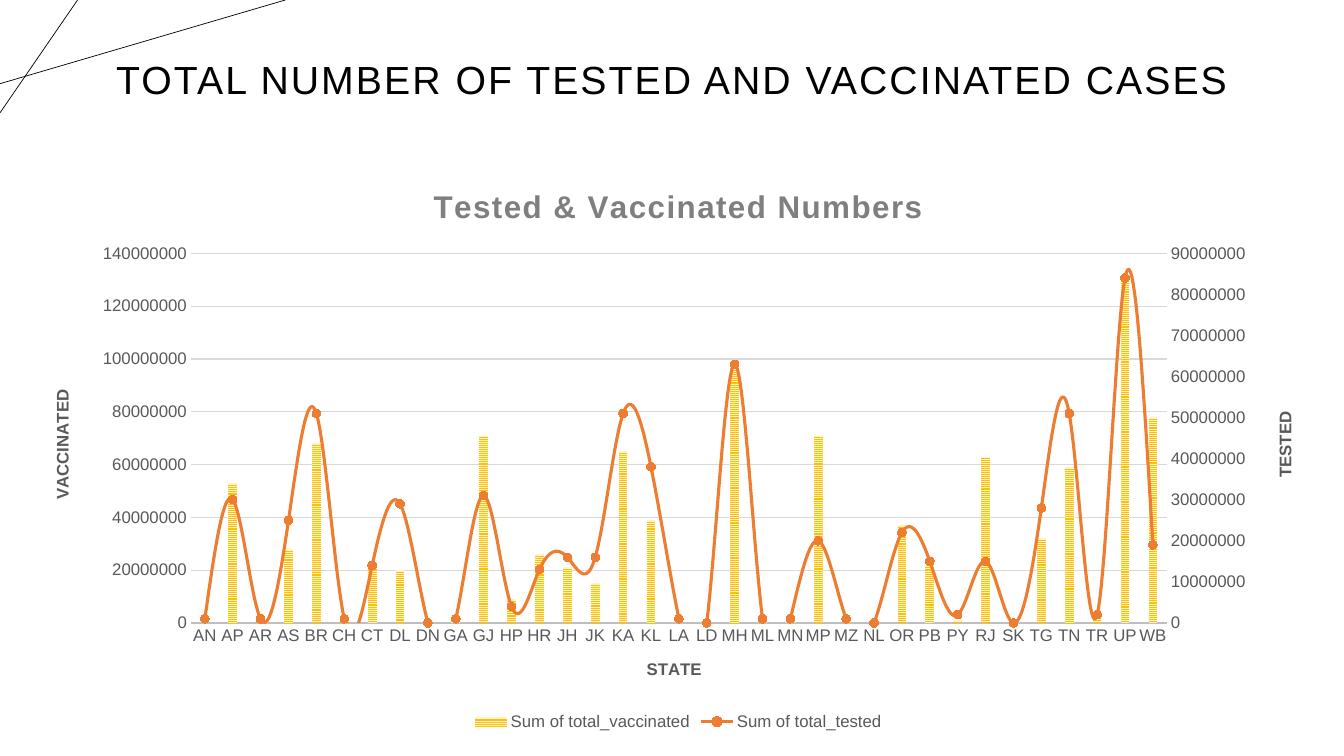
from copy import deepcopy

from pptx import Presentation
from pptx.chart.data import CategoryChartData
from pptx.dml.color import RGBColor
from pptx.enum.chart import XL_CHART_TYPE, XL_LEGEND_POSITION, XL_MARKER_STYLE, XL_TICK_MARK
from pptx.enum.dml import MSO_PATTERN
from pptx.enum.shapes import MSO_CONNECTOR
from pptx.enum.text import MSO_ANCHOR, PP_ALIGN
from pptx.oxml import parse_xml
from pptx.oxml.ns import nsdecls, qn
from pptx.util import Pt

COLUMNS = XL_CHART_TYPE.COLUMN_CLUSTERED
BOTTOM = XL_LEGEND_POSITION.BOTTOM
CIRCLE = XL_MARKER_STYLE.CIRCLE
NO_TICK = XL_TICK_MARK.NONE
STRIPES = MSO_PATTERN.NARROW_HORIZONTAL
STRAIGHT = MSO_CONNECTOR.STRAIGHT

HEADING = "TOTAL NUMBER OF TESTED AND VACCINATED CASES"
CHART_TITLE = "Tested & Vaccinated Numbers"
STATE_TITLE, VACCINATED_TITLE, TESTED_TITLE = "STATE", "VACCINATED", "TESTED"
SERIES_NAMES = ("Sum of total_vaccinated", "Sum of total_tested")
MILLION = 1_000_000
STATES = [
    ("AN", 0, 1), ("AP", 53, 30), ("AR", 1, 1), ("AS", 28, 25), ("BR", 68, 51),
    ("CH", 1, 1), ("CT", 22, 14), ("DL", 20, 29), ("DN", 1, 0), ("GA", 2, 1),
    ("GJ", 71, 31), ("HP", 9, 4), ("HR", 26, 13), ("JH", 21, 16), ("JK", 15, 16),
    ("KA", 65, 51), ("KL", 39, 38), ("LA", 0, 1), ("LD", 0, 0), ("MH", 98, 63),
    ("ML", 2, 1), ("MN", 2, 1), ("MP", 71, 20), ("MZ", 1, 1), ("NL", 1, 0),
    ("OR", 37, 22), ("PB", 22, 15), ("PY", 1, 2), ("RJ", 63, 15), ("SK", 1, 0),
    ("TG", 32, 28), ("TN", 59, 51), ("TR", 4, 2), ("UP", 131, 84), ("WB", 78, 19),
]
CORNER_LINES = [((0, 59.8), (203.8, 0)), ((55.4, 0), (0, 80.6))]
HEADING_FRAME = (66.2, 6.5, 828, 104.4)
CHART_FRAME = (22.3, 117.4, 924.5, 407.5)
PLOT_FRAME = (136.4, 181, 697.2, 264)
VACCINATED_SCALE = (140, 20)
TESTED_SCALE = (90, 10)

THEME = {
    "font": "Arial",
    "ink": RGBColor.from_string("000000"),
    "text": RGBColor.from_string("595959"),
    "title": RGBColor.from_string("7F7F7F"),
    "axis": RGBColor.from_string("BFBFBF"),
    "grid": RGBColor.from_string("D9D9D9"),
    "stripe": RGBColor.from_string("FFC000"),
    "stripe_back": RGBColor.from_string("FFF2CC"),
    "tested": RGBColor.from_string("ED7D31"),
    "heading_size": 28,
    "title_size": 22.4,
    "label_size": 12,
}


def style_font(font, size, color, bold=False):
    font.name = THEME["font"]
    font.size = Pt(size)
    font.bold = bold
    font.color.rgb = color


def style_line(line, color, width):
    line.color.rgb = color
    line.width = Pt(width)


def set_spacing(span, hundredths):
    span._r.get_or_add_rPr().set("spc", str(hundredths))


def add_corner_line(page, start, end):
    line = page.shapes.add_connector(STRAIGHT, *map(Pt, start + end))
    style_line(line.line, THEME["ink"], 0.5)
    line._element.spPr.append(parse_xml(f'<a:effectLst {nsdecls("a")}/>'))


def add_heading(page):
    box = page.shapes.add_textbox(*map(Pt, HEADING_FRAME))
    frame = box.text_frame
    frame.word_wrap = True
    frame.vertical_anchor = MSO_ANCHOR.MIDDLE
    frame.text = HEADING
    para = frame.paragraphs[0]
    para.alignment = PP_ALIGN.CENTER
    para.line_spacing = 0.9
    span = para.runs[0]
    style_font(span.font, THEME["heading_size"], THEME["ink"])
    set_spacing(span, 150)


def set_title(owner, text, size, color):
    owner.has_title = True
    frame = (owner.chart_title if hasattr(owner, "chart_title") else owner.axis_title).text_frame
    frame.text = text
    span = frame.paragraphs[0].runs[0]
    style_font(span.font, size, color, True)
    return frame, span


def style_axis(axis, title):
    axis.major_tick_mark = axis.minor_tick_mark = NO_TICK
    style_font(axis.tick_labels.font, THEME["label_size"], THEME["text"])
    return set_title(axis, title, THEME["label_size"], THEME["text"])[0]


def style_axes(chart):
    state_axis, value_axis = chart.category_axis, chart.value_axis
    style_axis(state_axis, STATE_TITLE)
    style_line(state_axis.format.line, THEME["axis"], 1.5)
    body = style_axis(value_axis, VACCINATED_TITLE)._txBody.bodyPr
    body.set("rot", "-5400000")
    body.set("vert", "horz")
    value_axis.format.line.fill.background()
    style_line(value_axis.major_gridlines.format.line, THEME["grid"], 0.75)
    value_axis.minimum_scale = 0
    value_axis.maximum_scale, value_axis.major_unit = (n * MILLION for n in VACCINATED_SCALE)


def set_value(parent, tag, value):
    parent.find(".//" + qn(tag)).set("val", str(value))


def drop(parent, tag):
    for child in parent.findall(qn(tag)):
        parent.remove(child)


def move_tested_to_right_axis(chart):
    plot_area = chart._chartSpace.chart.plotArea
    bars = plot_area.find(qn("c:barChart"))
    tested = bars.findall(qn("c:ser"))[1]
    drop(tested, "c:invertIfNegative")
    lines = parse_xml(
        f'<c:lineChart {nsdecls("c")}><c:grouping val="standard"/><c:varyColors val="0"/>'
        '<c:marker val="1"/><c:axId val="501"/><c:axId val="502"/></c:lineChart>'
    )
    lines.insert(2, tested)
    bars.addnext(lines)

    value_axis = plot_area.find(qn("c:valAx"))
    if value_axis.find(qn("c:crossBetween")) is None:
        value_axis.find(qn("c:crosses")).addnext(
            parse_xml(f'<c:crossBetween {nsdecls("c")} val="between"/>'))
    right_axis = deepcopy(value_axis)
    hidden_axis = deepcopy(plot_area.find(qn("c:catAx")))
    for axis, own, other in ((right_axis, 502, 501), (hidden_axis, 501, 502)):
        set_value(axis, "c:axId", own)
        set_value(axis, "c:crossAx", other)
    drop(right_axis, "c:majorGridlines")
    drop(hidden_axis, "c:title")
    set_value(hidden_axis, "c:delete", 1)
    set_value(right_axis, "c:axPos", "r")
    set_value(right_axis, "c:crosses", "max")
    for tag, number in zip(("c:max", "c:majorUnit"), TESTED_SCALE):
        set_value(right_axis, tag, number * MILLION)
    right_axis.find(".//" + qn("a:t")).text = TESTED_TITLE
    value_axis.addnext(right_axis)
    right_axis.addnext(hidden_axis)


def place_plot(chart):
    plot_area = chart._chartSpace.chart.plotArea
    drop(plot_area, "c:layout")
    left, top, width, height = CHART_FRAME
    x, y, w, h = PLOT_FRAME
    shares = {"x": (x - left) / width, "y": (y - top) / height, "w": w / width, "h": h / height}
    modes = "".join(f'<c:{key}Mode val="edge"/>' for key in "xy")
    sizes = "".join(f'<c:{key} val="{share:.4f}"/>' for key, share in shares.items())
    plot_area.insert(0, parse_xml(
        f'<c:layout {nsdecls("c")}><c:manualLayout><c:layoutTarget val="inner"/>'
        f'{modes}{sizes}</c:manualLayout></c:layout>'))


def add_cases_chart(page):
    data = CategoryChartData()
    names, *columns = zip(*STATES)
    data.categories = names
    for name, column in zip(SERIES_NAMES, columns):
        data.add_series(name, [number * MILLION for number in column])
    chart = page.shapes.add_chart(COLUMNS, *map(Pt, CHART_FRAME), data).chart
    style_font(chart.font, THEME["label_size"], THEME["text"])
    title_span = set_title(chart, CHART_TITLE, THEME["title_size"], THEME["title"])[1]
    set_spacing(title_span, 100)
    chart.chart_title.include_in_layout = False
    chart.has_legend = True
    chart.legend.position = BOTTOM
    chart.legend.include_in_layout = False
    style_font(chart.legend.font, THEME["label_size"], THEME["text"])
    style_axes(chart)
    move_tested_to_right_axis(chart)
    place_plot(chart)

    bars, lines = chart.plots
    bars.gap_width = 219
    bars.vary_by_categories = False
    fill = bars.series[0].format.fill
    fill.patterned()
    fill.pattern = STRIPES
    fill.fore_color.rgb = THEME["stripe"]
    fill.back_color.rgb = THEME["stripe_back"]
    tested = lines.series[0]
    tested.smooth = True
    style_line(tested.format.line, THEME["tested"], 2.25)
    tested.marker.style = CIRCLE
    tested.marker.size = 6
    tested.marker.format.fill.solid()
    tested.marker.format.fill.fore_color.rgb = THEME["tested"]
    style_line(tested.marker.format.line, THEME["tested"], 0.75)


deck = Presentation()
deck.slide_width, deck.slide_height = Pt(960), Pt(540)
page = deck.slides.add_slide(deck.slide_layouts[6])
for start, end in CORNER_LINES:
    add_corner_line(page, start, end)
add_heading(page)
add_cases_chart(page)
deck.save("out.pptx")
